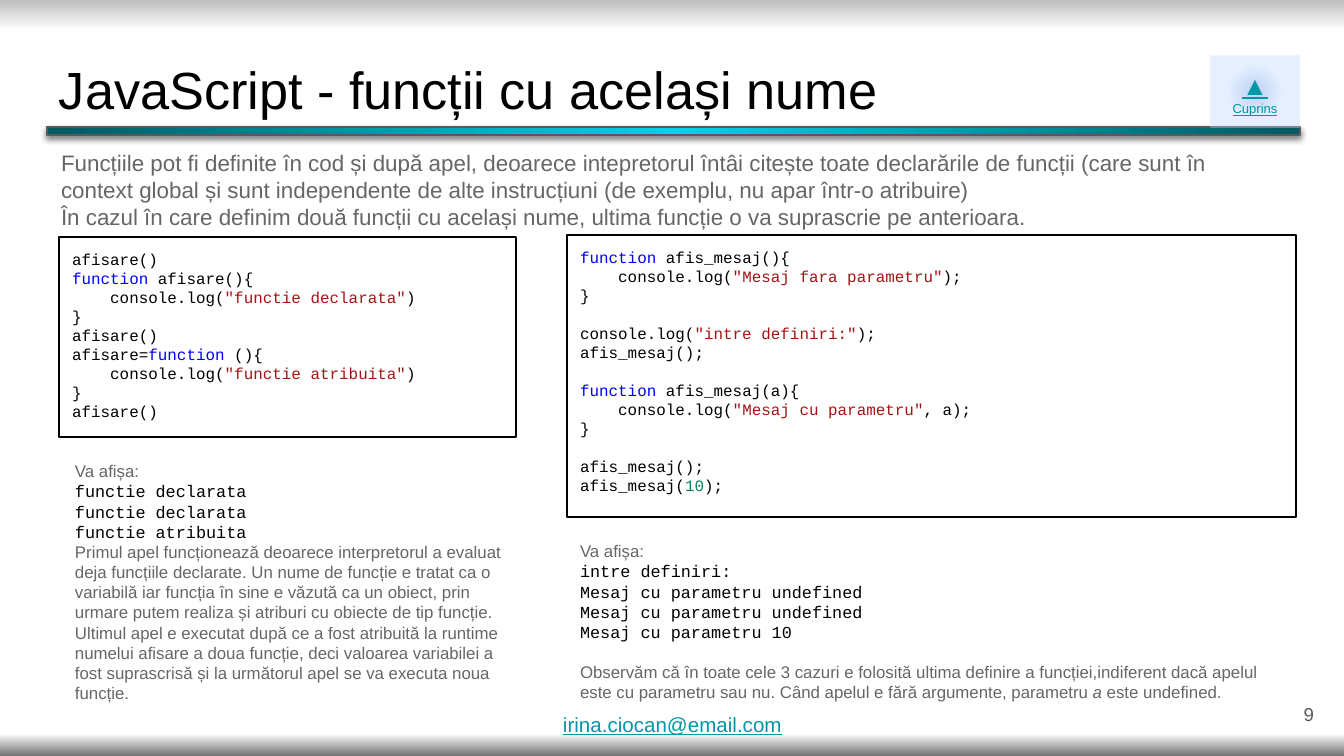
from dataclasses import dataclass
from typing import NamedTuple

from lxml import etree
from pptx import Presentation
from pptx import util as u
from pptx.dml.color import RGBColor
from pptx.enum import shapes, text
from pptx.oxml import ns

SCALE = 914400 / 134.4  # EMU in one px
INSET = 13
LEAD = 1.2  # line height over font size

HUES = {
    "black": "000000", "grey": "666666", "dark": "595959", "link": "0097A7",
    "key": "0000FF", "string": "A31515", "number": "098658",
    "cyan": "00D2E9", "teal": "045962", "pale": "BCD6FF", "blue": "4A86E8",
    "white": "FFFFFF", "top": "BFBFBF", "base": "737373",
}


class Box(NamedTuple):
    left: int
    top: int
    width: int
    height: int


class Stop(NamedTuple):
    pos: int
    hue: str
    alpha: int = 100


@dataclass(frozen=True)
class Style:
    size: float
    hue: str
    face: str = "Arial"
    line: bool = False
    align: text.PP_ALIGN = text.PP_ALIGN.LEFT


@dataclass(frozen=True)
class Para:
    """Text in which every second part between ~ marks stands out."""
    words: str
    style: Style


@dataclass(frozen=True)
class Block:
    box: Box
    paras: list[Para]
    frame: bool = False
    pad: int = INSET
    anchor: text.MSO_ANCHOR = text.MSO_ANCHOR.TOP


TITLE = Style(28, "black")
LEADIN = Style(12, "grey")
NOTE = Style(9, "grey")
OUT = Style(9, "black", "Courier New")
CODE = Style(8.5, "black", "Courier New")
MAIL = Style(11, "link", line=True)
PAGE = Style(10, "dark", align=text.PP_ALIGN.RIGHT)
ARROW = Style(14, "link", line=True, align=text.PP_ALIGN.CENTER)
INDEX = Style(7, "link", line=True, align=text.PP_ALIGN.CENTER)


def px(num: float) -> u.Emu:
    return u.Emu(round(num * SCALE))


def color(hue: str) -> RGBColor:
    return RGBColor.from_string(HUES[hue])


def node(up, tag: str, **attrs):
    return etree.SubElement(up, ns.qn(tag), {k: str(v) for k, v in attrs.items()})


def blend(props, stops: list[Stop], angle: int | None = None) -> None:
    """Swap a solid fill for a gradient, circular when no angle is given."""
    old = props.find(ns.qn("a:solidFill"))
    grad = etree.Element(ns.qn("a:gradFill"), rotWithShape="1")
    group = node(grad, "a:gsLst")
    for stop in stops:
        mark = node(group, "a:gs", pos=stop.pos * 1000)
        hue = node(mark, "a:srgbClr", val=HUES[stop.hue])
        if stop.alpha < 100:
            node(hue, "a:alpha", val=stop.alpha * 1000)
    if angle is None:
        ring = node(grad, "a:path", path="circle")
        node(ring, "a:fillToRect", l=50000, t=50000, r=50000, b=50000)
    else:
        node(grad, "a:lin", ang=angle * 60000, scaled=0)
    props.replace(old, grad)


def lines(source: str, style: Style) -> list[Para]:
    return [Para(row, style) for row in source.strip("\n").split("\n")]


def accent(run, words: str) -> None:
    """Colour a code token, or slant a word of prose."""
    if words == "function":
        run.font.color.rgb = color("key")
    elif words.startswith('"'):
        run.font.color.rgb = color("string")
    elif words.isdigit():
        run.font.color.rgb = color("number")
    else:
        run.font.italic = True


def write(frame, block: Block) -> None:
    """Fill a text frame; an empty row becomes space before the next one."""
    frame.word_wrap = True
    frame.vertical_anchor = block.anchor
    frame.margin_left = frame.margin_right = px(INSET)
    frame.margin_top = frame.margin_bottom = px(block.pad)
    gap, first = 0.0, True
    for item in block.paras:
        style = item.style
        lead = style.size * LEAD
        if not item.words:
            gap += lead
            continue
        para = frame.paragraphs[0] if first else frame.add_paragraph()
        para.alignment = style.align
        para.line_spacing = u.Pt(lead)
        para.space_before = u.Pt(gap)
        font = para.font
        font.size, font.name = u.Pt(style.size), style.face
        font.underline = style.line
        font.color.rgb = color(style.hue)
        for num, part in enumerate(item.words.split("~")):
            if part:
                run = para.add_run()
                run.text = part
                if num % 2:
                    accent(run, part)
        gap, first = 0.0, False


def rect(slide, box: Box):
    form = slide.shapes.add_shape(shapes.MSO_SHAPE.RECTANGLE, *map(px, box))
    form.shadow.inherit = False
    form.fill.background()
    form.line.fill.background()
    return form


def edge(form, hue: str) -> None:
    form.line.color.rgb = color(hue)
    form.line.width = u.Pt(0.75)


def place(slide, block: Block) -> None:
    if block.frame:
        form = rect(slide, block.box)
        edge(form, "black")
    else:
        form = slide.shapes.add_textbox(*map(px, block.box))
    write(form.text_frame, block)


def rule(slide) -> None:
    bar = rect(slide, Box(47, 127, 1253, 8))
    bar.fill.solid()
    blend(bar._element.spPr, [Stop(0, "cyan"), Stop(100, "teal")])
    edge(bar, "dark")
    glow = bar._element.spPr.find(ns.qn("a:effectLst"))
    cast = node(glow, "a:outerShdw", blurRad=u.Pt(3.4), dist=u.Pt(1.5),
                dir=90 * 60000, algn="bl", rotWithShape=0)
    node(node(cast, "a:srgbClr", val=HUES["black"]), "a:alpha", val=50000)


def button(slide) -> None:
    box = Box(1211, 56, 88, 72)
    form = rect(slide, box)
    form.fill.solid()
    blend(form._element.spPr, [Stop(0, "pale", 37), Stop(0, "blue", 37),
                               Stop(48, "pale", 37), Stop(100, "pale", 37)])
    write(form.text_frame, Block(box, [Para("▲", ARROW), Para("Cuprins", INDEX)]))


RIGHT = """
~function~ afis_mesaj(){
    console.log(~"Mesaj fara parametru"~);
}

console.log(~"intre definiri:"~);
afis_mesaj();

~function~ afis_mesaj(a){
    console.log(~"Mesaj cu parametru"~, a);
}

afis_mesaj();
afis_mesaj(~10~);
"""
LEFT = """
afisare()
~function~ afisare(){
    console.log(~"functie declarata"~)
}
afisare()
afisare=~function~ (){
    console.log(~"functie atribuita"~)
}
afisare()
"""
INTRO = """
Funcțiile pot fi definite în cod și după apel, deoarece intepretorul întâi citește toate declarările de funcții (care sunt în context global și sunt independente de alte instrucțiuni (de exemplu, nu apar într-o atribuire)
În cazul în care definim două funcții cu același nume, ultima funcție o va suprascrie pe anterioara.
"""
SHOWN = Para("Va afișa:", NOTE)
LAST = "intre definiri:\nMesaj cu parametru undefined\nMesaj cu parametru undefined\nMesaj cu parametru 10\n\n"
BOTH = "functie declarata\nfunctie declarata\nfunctie atribuita"
SEEN = "Observăm că în toate cele 3 cazuri e folosită ultima definire a funcției,indiferent dacă apelul este cu parametru sau nu. Când apelul e fără argumente, parametru ~a~ este undefined."
WHY = "Primul apel funcționează deoarece interpretorul a evaluat deja funcțiile declarate. Un nume de funcție e tratat ca o variabilă iar funcția în sine e văzută ca un obiect, prin urmare putem realiza și atriburi cu obiecte de tip funcție. Ultimul apel e executat după ce a fost atribuită la runtime numelui afisare a doua funcție, deci valoarea variabilei a fost suprascrisă și la următorul apel se va executa noua funcție."

BLOCKS = [
    Block(Box(1246, 685, 81, 58), [Para("9", PAGE)], anchor=text.MSO_ANCHOR.MIDDLE),
    Block(Box(550, 712, 260, 36), [Para("irina.ciocan@email.com", MAIL)], pad=0),
    Block(Box(48, 136, 1247, 126), lines(INTRO, LEADIN)),
    Block(Box(567, 235, 729, 282), lines(RIGHT, CODE), frame=True),
    Block(Box(59, 237, 457, 200), lines(LEFT, CODE), frame=True),
    Block(Box(567, 528, 729, 190),
          [SHOWN, *lines(LAST.rstrip(), OUT), Para("", OUT), Para(SEEN, NOTE)]),
    Block(Box(62, 448, 454, 271), [SHOWN, *lines(BOTH, OUT), Para(WHY, NOTE)]),
]


def main() -> None:
    deck = Presentation()
    deck.slide_width, deck.slide_height = px(1344), px(756)
    slide = deck.slides.add_slide(deck.slide_layouts[6])
    slide.background.fill.solid()
    back = slide._element.cSld.find(".//" + ns.qn("p:bgPr"))
    blend(back, [Stop(0, "top"), Stop(4, "white"), Stop(97, "white"),
                 Stop(100, "base")], 90)
    place(slide, Block(Box(46, 44, 1252, 84),
                       [Para("JavaScript - funcții cu același nume", TITLE)]))
    rule(slide)
    button(slide)
    for block in BLOCKS:
        place(slide, block)
    deck.save("out.pptx")


if __name__ == "__main__":
    main()
